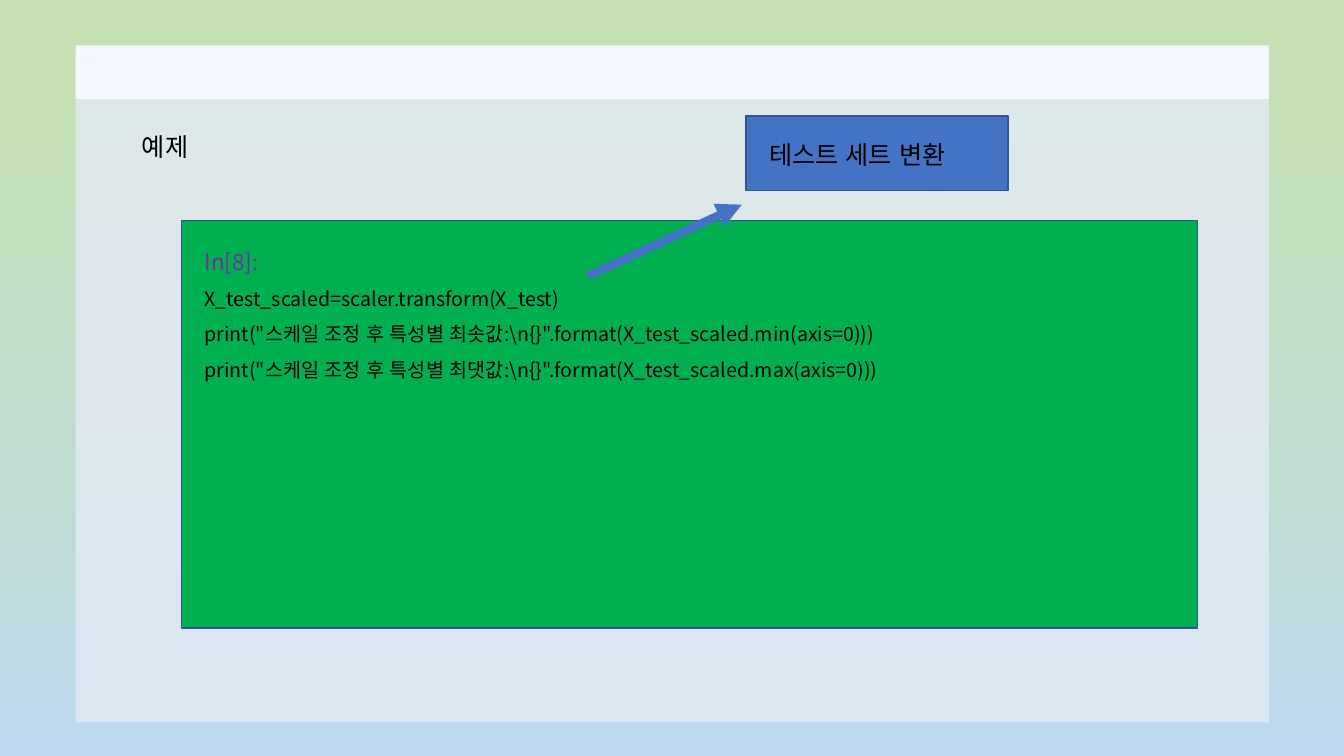
"""Build the example slide about transforming the test set."""
from copy import deepcopy

from pptx import Presentation
from pptx.dml.color import RGBColor
from pptx.enum.lang import MSO_LANGUAGE_ID
from pptx.enum.shapes import MSO_CONNECTOR, MSO_SHAPE
from pptx.oxml.ns import qn
from pptx.util import Pt
from lxml.etree import SubElement

FONT = "Noto Sans CJK KR"


def color(hex_string):
    return RGBColor.from_string(hex_string)


def add_text(left, top, width, height, lines, line_spacing):
    text_frame = slide.shapes.add_textbox(Pt(left), Pt(top), Pt(width), Pt(height)).text_frame
    text_frame.word_wrap = True
    text_frame.text = "\n".join(text for text, size, ink in lines)
    for paragraph, (text, size, ink) in zip(text_frame.paragraphs, lines):
        paragraph.line_spacing = line_spacing
        font = paragraph.runs[0].font
        font.size = Pt(size)
        font.name = FONT
        font.language_id = MSO_LANGUAGE_ID.KOREAN
        font.color.rgb = color(ink)
        SubElement(paragraph.runs[0]._r.get_or_add_rPr(), qn("a:ea"), typeface=FONT)


presentation = Presentation()
presentation.slide_width = Pt(960)
presentation.slide_height = Pt(540)
slide = presentation.slides.add_slide(presentation.slide_layouts[6])

background = slide.background.fill
background.gradient()
background.gradient_angle = 270
stop_list = slide._element.find(".//" + qn("a:gsLst"))
stop_list.append(deepcopy(stop_list[-1]))
stops = [(0.12, "C5E0B4"), (0.63, "C1DCD1"), (1, "BDD7EE")]
for stop, (position, tint) in zip(background.gradient_stops, stops):
    stop.position = position
    stop.color.rgb = color(tint)

rectangles = [
    (54, 41, 852.5, 475, "E4EAF6", 80, None),
    (54, 32.4, 852.5, 38.2, "F3F8FE", 100, None),
    (129.6, 157.7, 725.8, 290.9, "00B050", 100, "325491"),
    (532.8, 82.8, 187.2, 53.3, "4472C4", 100, "325491"),
]
for left, top, width, height, fill, opacity, outline in rectangles:
    shape = slide.shapes.add_shape(MSO_SHAPE.RECTANGLE, Pt(left), Pt(top), Pt(width), Pt(height))
    shape.shadow.inherit = False
    shape.fill.solid()
    shape.fill.fore_color.rgb = color(fill)
    if opacity < 100:
        fill_color = shape._element.spPr.find(".//" + qn("a:srgbClr"))
        SubElement(fill_color, qn("a:alpha"), val=str(opacity * 1000))
    if outline:
        shape.line.color.rgb = color(outline)
        shape.line.width = Pt(1)
    else:
        shape.line.fill.background()

arrow = slide.shapes.add_connector(
    MSO_CONNECTOR.STRAIGHT, Pt(419.8), Pt(197.3), Pt(529.9), Pt(146.2)
)
arrow.line.color.rgb = color("4472C4")
arrow.line.width = Pt(6)
SubElement(arrow.line._get_or_add_ln(), qn("a:tailEnd"), type="triangle")
SubElement(arrow._element.spPr, qn("a:effectLst"))

code_lines = [
    ("In[8]:", 16, "7030A0"),
    ("X_test_scaled=scaler.transform(X_test)", 14, "000000"),
    ('print("스케일 조정 후 특성별 최솟값:\\n{}".format(X_test_scaled.min(axis=0)))', 14, "000000"),
    ('print("스케일 조정 후 특성별 최댓값:\\n{}".format(X_test_scaled.max(axis=0)))', 14, "000000"),
]
add_text(94.3, 79.2, 835.9, 34.6, [("예제", 18, "000000")], 1.5)
add_text(139, 164.2, 781.9, 368.6, code_lines, 1.5)
add_text(542.2, 95.8, 378, 28.8, [("테스트 세트 변환", 18, "000000")], 1)

presentation.save("out.pptx")
